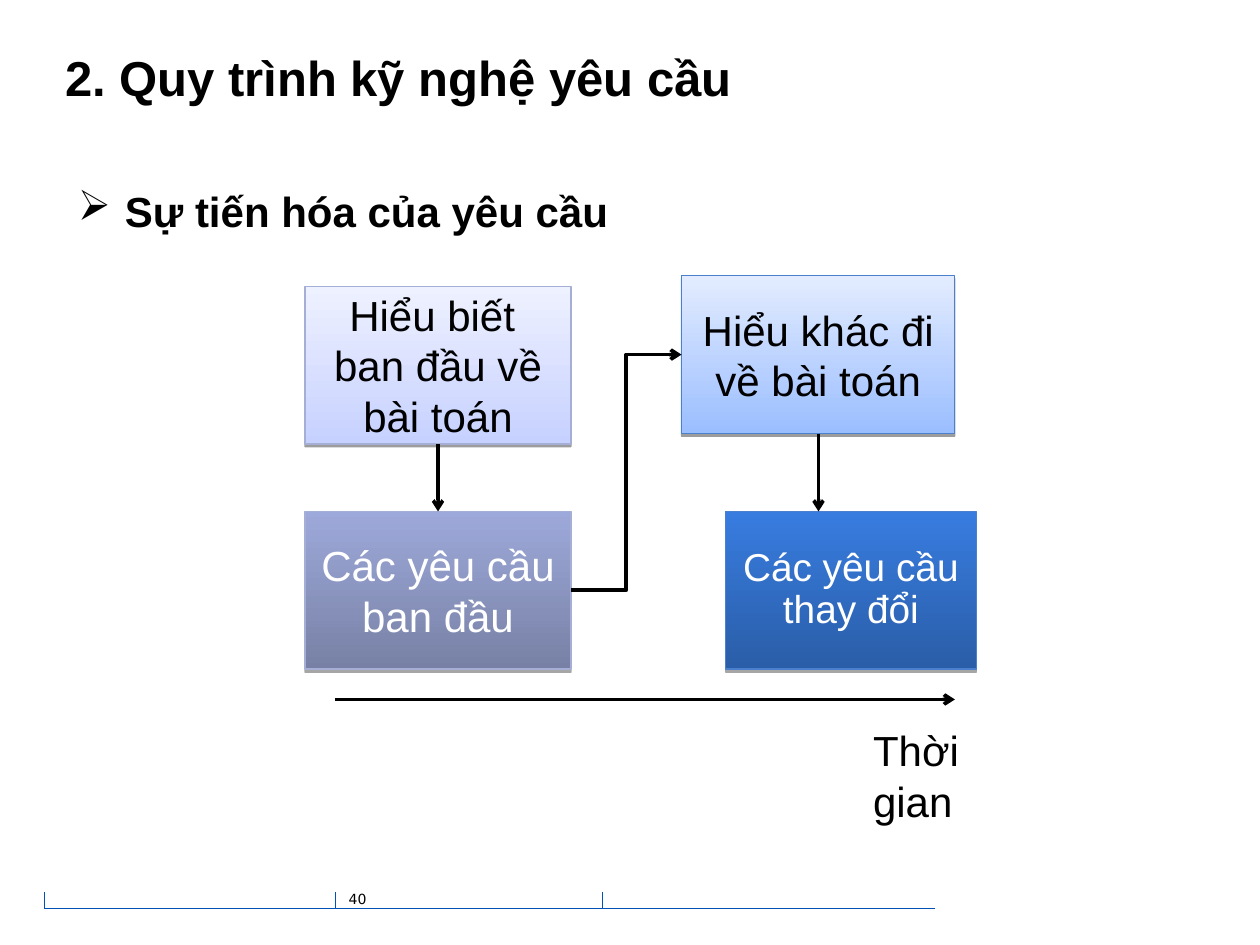
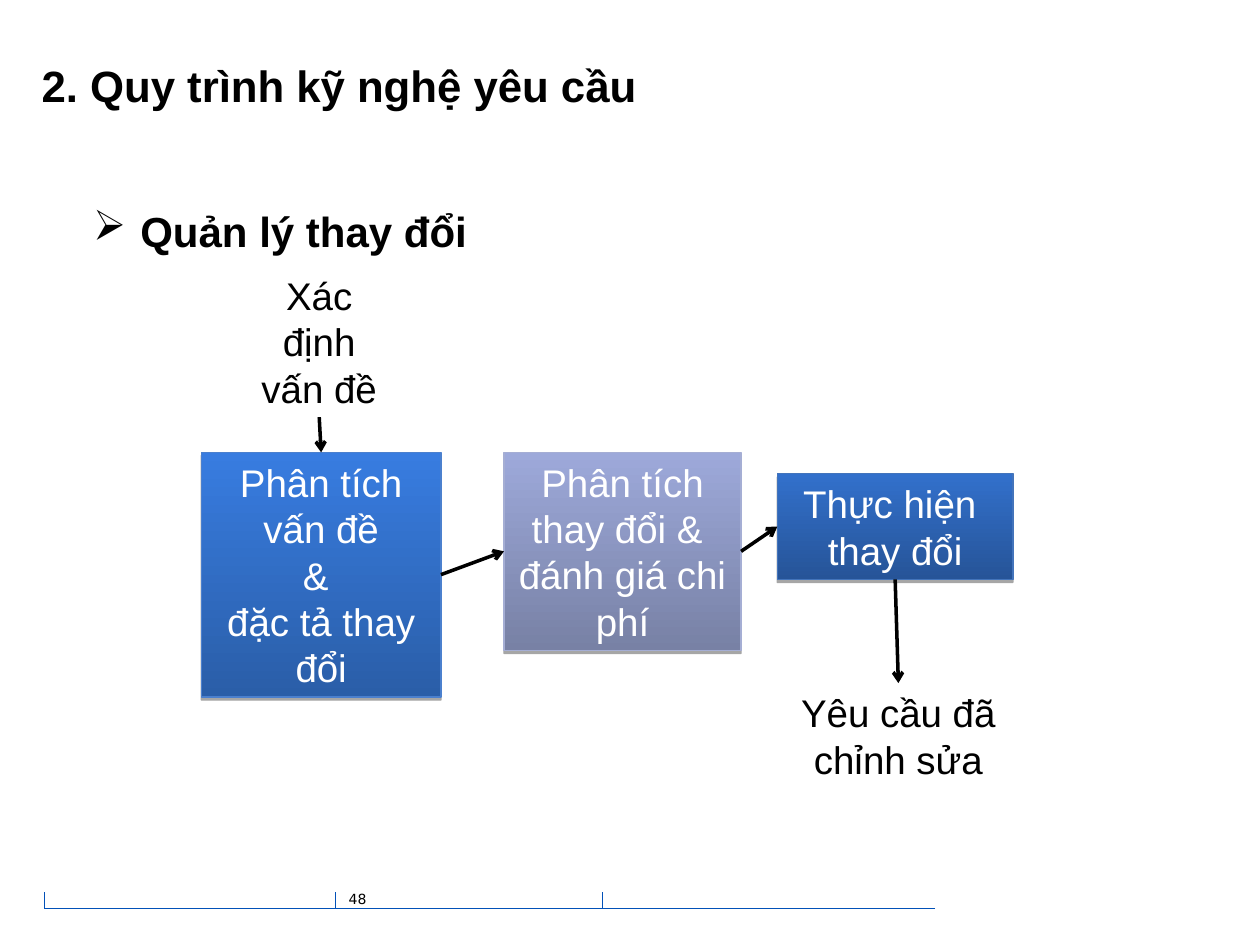
from lxml import etree
from pptx import Presentation
from pptx.dml.color import RGBColor
from pptx.enum.shapes import MSO_CONNECTOR, MSO_SHAPE
from pptx.enum.text import MSO_ANCHOR, MSO_AUTO_SIZE, PP_ALIGN
from pptx.oxml.ns import qn
from pptx.util import Cm, Pt

LEFT, CENTER = PP_ALIGN.LEFT, PP_ALIGN.CENTER
TOP_ANCHOR, MIDDLE_ANCHOR = MSO_ANCHOR.TOP, MSO_ANCHOR.MIDDLE
STRAIGHT, ELBOW = MSO_CONNECTOR.STRAIGHT, MSO_CONNECTOR.ELBOW
RECTANGLE = MSO_SHAPE.RECTANGLE
FIT_SHAPE = MSO_AUTO_SIZE.SHAPE_TO_FIT_TEXT
TOP, LEFT_SIDE, BOTTOM, RIGHT_SIDE = range(4)  # connection sites of a rectangle

BLACK, WHITE, FOOTER_BLUE = "000000", "FFFFFF", "0251B8"
TITLE = "2. Quy trình kỹ nghệ yêu cầu"
TEXT_INSETS = (0.25, 0.13)

# style: bottom colour, top colour, outline, text, shadow opacity in %, shadow distance in pt
STYLES = {
    "pale lilac": ("C7D1FF", "EEF1FF", "A5AED4", BLACK, 38, 1.6),
    "pale blue": ("9BBEFF", "E3ECFF", "4B80CE", BLACK, 38, 1.6),
    "lilac": ("7881A5", "9DA9DA", "A5AED4", WHITE, 35, 1.8),
    "blue": ("2A5EA8", "387CE0", "4B80CE", WHITE, 35, 1.8),
    "deep blue": ("265498", "3270CB", "4374BB", WHITE, 35, 1.8),
}

# Steps: name -> (text, style or None for plain text, area in cm, size, line spacing)
# Links: (kind, from step, site, to step, site)
SLIDES = [
    {
        "number": "40",
        "title": ((1.07, 0.58, 17.3, 1.96), 28, TEXT_INSETS),
        "heading": ("Sự tiến hóa của yêu cầu", (1.32, 3.61, 11.2, 1.27)),
        "steps": {
            "first view": ("Hiểu biết \nban đầu về bài toán", "pale lilac",
                           (6.15, 5.77, 5.36, 3.18), 24, 1),
            "new view": ("Hiểu khác đi về bài toán", "pale blue",
                         (13.74, 5.56, 5.51, 3.18), 24, 1),
            "first needs": ("Các yêu cầu ban đầu", "lilac",
                            (6.15, 10.31, 5.36, 3.18), 24, 1),
            "new needs": ("Các yêu cầu thay đổi", "blue",
                          (14.63, 10.31, 5.05, 3.18), 22.2, 0.9),
        },
        "links": [
            (STRAIGHT, "first view", BOTTOM, "first needs", TOP),
            (ELBOW, "first needs", RIGHT_SIDE, "new view", LEFT_SIDE),
        ],
        "arrows": [(16.5, 8.74, 16.5, 10.31), (6.76, 14.1, 19.25, 14.1)],
        "label": ("Thời gian", (17.35, 14.48, 4.06, 1.27)),
    },
    {
        "number": "48",
        "title": ((0.84, 0.84, 21.89, 1.73), 25, (0, 0)),
        "heading": ("Quản lý thay đổi", (1.63, 4.01, 8.05, 1.27)),
        "steps": {
            "problem": ("Xác định vấn đề", None, (4.95, 5.36, 2.97, 3.05), 22, 1),
            "analysis": ("Phân tích vấn đề\n& \nđặc tả thay đổi", "blue",
                         (4.06, 9.12, 4.83, 4.93), 22, 1),
            "costing": ("Phân tích thay đổi & \nđánh giá chi phí", "lilac",
                        (10.16, 9.12, 4.78, 3.99), 22, 1),
            "change": ("Thực hiện \nthay đổi", "deep blue",
                       (15.67, 9.55, 4.75, 2.13), 22, 1),
            "result": ("Yêu cầu đã chỉnh sửa", None, (15.72, 13.77, 4.78, 2.13), 22, 1),
        },
        "links": [
            (STRAIGHT, "problem", BOTTOM, "analysis", TOP),
            (STRAIGHT, "analysis", RIGHT_SIDE, "costing", LEFT_SIDE),
            (STRAIGHT, "costing", RIGHT_SIDE, "change", LEFT_SIDE),
            (STRAIGHT, "change", BOTTOM, "result", TOP),
        ],
        "arrows": [],
        "label": None,
    },
]

FOOTER_BASE, FOOTER_TICK_TOP, FOOTER_END = 18.31, 17.98, 18.85
FOOTER_TICKS = (0.89, 6.76, 12.14)
NUMBER_AREA = (6.93, 17.86, 3.18, 0.64)


def rgb(color):
    return RGBColor.from_string(color)


def lengths(values):
    return [Cm(value) for value in values]


def write(box, text, size, color=BLACK, bold=False, align=LEFT, font="Arial",
          anchor=TOP_ANCHOR, insets=TEXT_INSETS, wrap=True, spacing=1, bullet=None):
    frame = box.text_frame
    frame.word_wrap = wrap
    if not wrap:
        frame.auto_size = FIT_SHAPE
    frame.vertical_anchor = anchor
    frame.margin_left = frame.margin_right = Cm(insets[0])
    frame.margin_top = frame.margin_bottom = Cm(insets[1])
    para = frame.paragraphs[0]
    para.text = text
    para.alignment = align
    para.line_spacing = spacing
    if bullet:
        add_bullet(para, bullet)
    para.font.name = font
    para.font.size = Pt(size)
    para.font.bold = bold
    para.font.color.rgb = rgb(color)


def add_bullet(para, character):
    properties = para._p.get_or_add_pPr()
    properties.set("marL", str(Cm(0.95)))
    properties.set("indent", str(-Cm(0.95)))
    bullet_color = etree.SubElement(properties, qn("a:buClr"))
    etree.SubElement(bullet_color, qn("a:srgbClr"), val=BLACK)
    etree.SubElement(properties, qn("a:buChar"), char=character)


def add_text(page, text, area, size, **options):
    box = page.shapes.add_textbox(*lengths(area))
    write(box, text, size, **options)
    return box


def add_shadow(shape, opacity, distance):
    shape.shadow.inherit = False
    effects = shape._element.spPr.find(qn("a:effectLst"))
    shadow = etree.SubElement(effects, qn("a:outerShdw"), blurRad="0",
                              dist=str(Pt(distance)), dir="5400000", rotWithShape="0")
    shade = etree.SubElement(shadow, qn("a:srgbClr"), val=BLACK)
    etree.SubElement(shade, qn("a:alpha"), val=str(opacity * 1000))


def add_step(page, text, style, area, size, spacing):
    if style is None:
        return add_text(page, text, area, size, align=CENTER)
    bottom, top, outline, text_color, opacity, distance = STYLES[style]
    box = page.shapes.add_shape(RECTANGLE, *lengths(area))
    box.fill.gradient()
    box.fill.gradient_angle = 90
    for stop, color in zip(box.fill.gradient_stops, (bottom, top)):
        stop.color.rgb = rgb(color)
    box.line.color.rgb = rgb(outline)
    box.line.width = Pt(0.75)
    add_shadow(box, opacity, distance)
    write(box, text, size, color=text_color, align=CENTER, anchor=MIDDLE_ANCHOR,
          spacing=spacing)
    return box


def add_line(page, ends, kind=STRAIGHT, color=BLACK, width=2, arrow=True):
    line = page.shapes.add_connector(kind, *lengths(ends))
    line.line.color.rgb = rgb(color)
    line.line.width = Pt(width)
    properties = line._element.spPr
    if arrow:
        etree.SubElement(properties.find(qn("a:ln")), qn("a:tailEnd"), type="arrow")
    etree.SubElement(properties, qn("a:effectLst"))
    return line


def add_footer(page, number):
    rules = [(FOOTER_END, FOOTER_BASE, FOOTER_TICKS[0], FOOTER_BASE)]
    rules += [(tick, FOOTER_BASE, tick, FOOTER_TICK_TOP) for tick in FOOTER_TICKS]
    for ends in rules:
        add_line(page, ends, color=FOOTER_BLUE, width=0.75, arrow=False)
    add_text(page, number, NUMBER_AREA, 8, font="DejaVu Sans", insets=(0.1, 0.1))


def build_page(deck, content):
    page = deck.slides.add_slide(deck.slide_layouts[6])
    add_footer(page, content["number"])
    area, size, insets = content["title"]
    add_text(page, TITLE, area, size, bold=True, anchor=MIDDLE_ANCHOR, insets=insets)

    steps = {name: add_step(page, *step) for name, step in content["steps"].items()}
    for kind, start, start_site, end, end_site in content["links"]:
        link = add_line(page, (0, 0, 0, 0), kind)
        link.begin_connect(steps[start], start_site)
        link.end_connect(steps[end], end_site)
    for ends in content["arrows"]:
        add_line(page, ends)

    if content["label"]:
        add_text(page, *content["label"], 24, wrap=False)
    add_text(page, *content["heading"], 24, bold=True, wrap=False, bullet="➢")


def main():
    deck = Presentation()
    deck.slide_width, deck.slide_height = Cm(25.4), Cm(19.05)
    for content in SLIDES:
        build_page(deck, content)
    deck.save("out.pptx")


if __name__ == "__main__":
    main()
